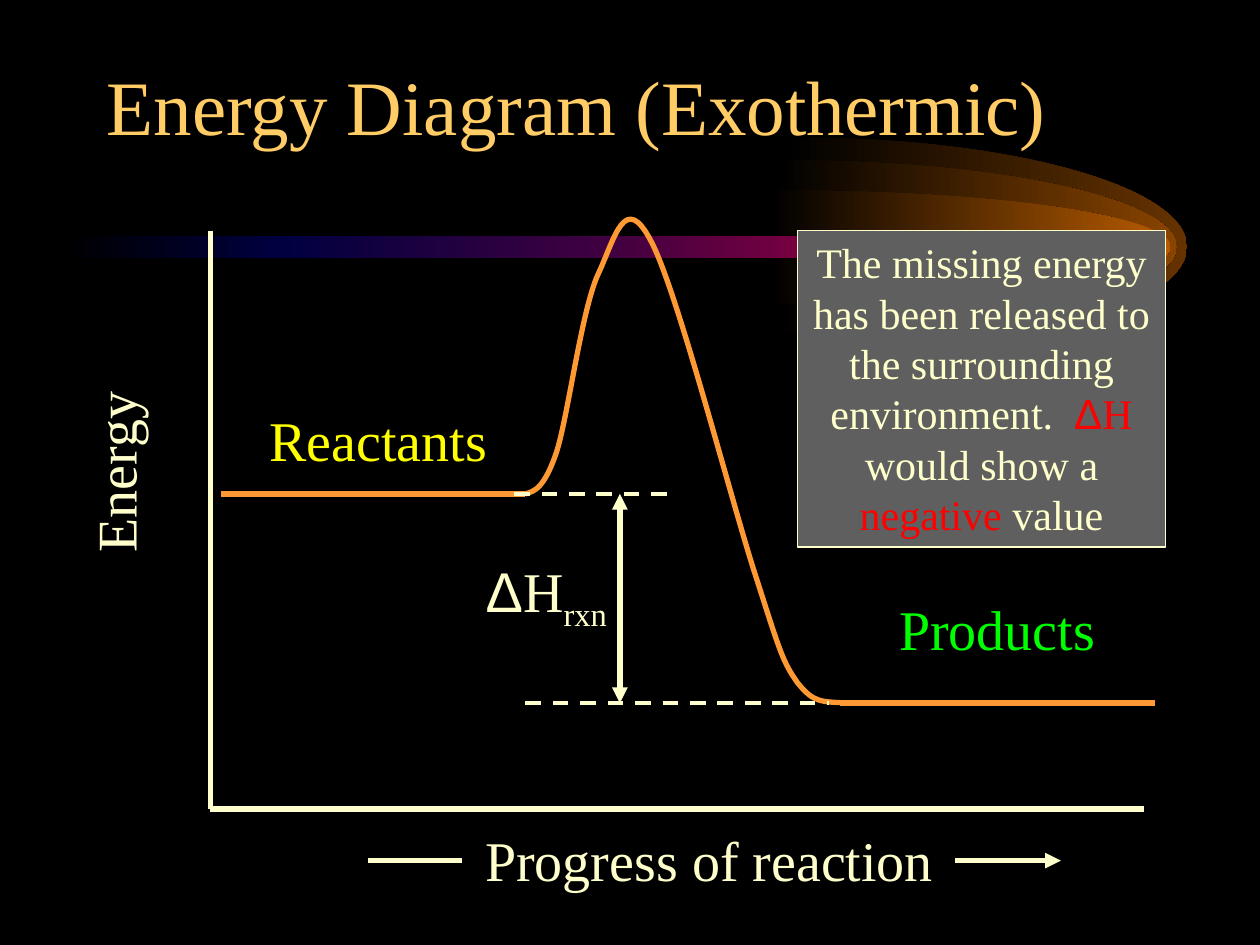
from lxml import etree
from pptx import Presentation
from pptx import util as u
from pptx.dml.color import RGBColor
from pptx.enum import dml, shapes, text
from pptx.oxml.ns import qn

BLACK = RGBColor(0, 0, 0)
CREAM = RGBColor(0xFF, 0xFF, 0xCC)
GOLD = RGBColor(0xFF, 0xCC, 0x66)
ORANGE = RGBColor(0xFF, 0x99, 0x33)
YELLOW = RGBColor(0xFF, 0xFF, 0)
GREEN = RGBColor(0, 0xFF, 0)
RED = RGBColor(0xFF, 0, 0)
GREY = RGBColor(0x5F, 0x5F, 0x5F)
SERIF, SANS = "Times New Roman", "Arial"

prs = Presentation()
prs.slide_width, prs.slide_height = u.Inches(10), u.Inches(7.5)
slide = prs.slides.add_slide(prs.slide_layouts[6])
slide.background.fill.solid()
slide.background.fill.fore_color.rgb = BLACK
items = slide.shapes


def outline(knots, close):
    """Draw cubic curves, three knots each; knots left over become lines."""
    pts = [(u.Inches(x), u.Inches(y)) for x, y in knots]
    pen = items.build_freeform(*pts[0])
    pen.add_line_segments(pts[1:], close=close)
    form = pen.convert_to_shape()
    form.shadow.inherit = False
    legs = list(form._element.iter(qn("a:lnTo")))
    for i in range(0, len(legs) - 2, 3):
        bend = etree.Element(qn("a:cubicBezTo"))
        legs[i].addprevious(bend)
        for leg in legs[i:i + 3]:
            bend.append(leg[0])
            leg.getparent().remove(leg)
    return form


def write(frame, runs, size, align=text.PP_ALIGN.CENTER):
    """Fill the frame with one paragraph; each run is (words, colour, font)."""
    frame.word_wrap = True
    para = frame.paragraphs[0]
    para.alignment = align
    for words, color, face in runs:
        run = para.add_run()
        run.text = words
        run.font.size = u.Pt(size)
        run.font.name = face
        run.font.color.rgb = color
    return para


# Comet: three half ellipses and a tail, all with a gradient from left to right
HALF = [(-0.01, -1), (0, -1), (0, -1), (0, -1),
        (1.73, -1), (3.13, -0.55), (3.13, 0),
        (3.13, 0.55), (1.73, 1), (0, 1),
        (-0.02, 1), (-0.03, 1), (-0.05, 1), (0, 0)]
glows = []
for mid, high, color in [(6.29, 0.87, "663300"), (6.21, 0.69, "894400"),
                         (6.16, 0.45, "B75B00")]:
    arc = [(mid + x, 1.96 + high * y) for x, y in HALF]
    glows.append((outline(arc, True), [(0, "000000"), (100, color)]))

tail = items.add_shape(shapes.MSO_SHAPE.ROUNDED_RECTANGLE, u.Inches(0.5),
                       u.Inches(1.87), u.Inches(8.66), u.Inches(0.18))
tail.adjustments[0] = 0.5
tail.shadow.inherit = False
glows.append((tail, [(0, "000000"), (20, "000040"), (50, "400040"),
                     (75, "8F0040"), (90, "F27300"), (100, "FFBF00")]))

for glow, stops in glows:
    glow.line.fill.background()
    glow.fill.gradient()
    glow.fill.gradient_angle = 0
    group = glow._element.spPr.find(qn("a:gradFill")).find(qn("a:gsLst"))
    for old in list(group):
        group.remove(old)
    for pos, color in stops:
        stop = etree.SubElement(group, qn("a:gs"), pos=str(pos * 1000))
        etree.SubElement(stop, qn("a:srgbClr"), val=color)

# Title and labels
title = items.add_textbox(u.Inches(0.75), 0, u.Inches(8.5), u.Inches(1.25))
title.text_frame.vertical_anchor = text.MSO_ANCHOR.BOTTOM
write(title.text_frame, [("Energy Diagram (Exothermic)", GOLD, SERIF)], 44,
      text.PP_ALIGN.LEFT)

for words, color, left, top, wide, turn in [
        ("Energy", CREAM, -0.43, 3.43, 2.67, 270),
        ("Progress of reaction", CREAM, 3.67, 6.5, 3.92, 0),
        ("Reactants", YELLOW, 1.67, 3.17, 2.67, 0),
        ("Products", GREEN, 6.58, 4.67, 2.67, 0)]:
    label = items.add_textbox(u.Inches(left), u.Inches(top),
                              u.Inches(wide), u.Inches(0.63))
    label.rotation = turn
    write(label.text_frame, [(words, color, SERIF)], 32)

delta = items.add_textbox(u.Inches(3), u.Inches(4.37),
                          u.Inches(2.67), u.Inches(0.63))
para = write(delta.text_frame, [("Δ", CREAM, SANS), ("H", CREAM, SERIF),
                                ("rxn", CREAM, SERIF)], 32)
para.runs[2].font._element.set("baseline", "-25000")

# Energy curve between the two levels
curve = outline([(4.17, 3.92),
                 (4.24, 3.9), (4.32, 3.88), (4.42, 3.58),
                 (4.51, 3.29), (4.62, 2.44), (4.75, 2.17),
                 (4.88, 1.89), (4.96, 1.51), (5.17, 1.92),
                 (5.38, 2.32), (5.81, 4), (6, 4.58),
                 (6.19, 5.17), (6.21, 5.25), (6.33, 5.42),
                 (6.46, 5.58), (6.51, 5.57), (6.75, 5.58)], False)
curve.fill.background()
curve.line.color.rgb = ORANGE
curve.line.width = u.Pt(3)

# Axes, levels, dashed guides and arrows
for x1, y1, x2, y2, color, dash, ends in [
        (1.67, 1.83, 1.67, 6.42, CREAM, False, ()),
        (1.67, 6.42, 9.08, 6.42, CREAM, False, ()),
        (7.58, 6.83, 8.42, 6.83, CREAM, False, ("tailEnd",)),
        (2.92, 6.83, 3.67, 6.83, CREAM, False, ()),
        (1.75, 3.92, 4.17, 3.92, ORANGE, False, ()),
        (6.67, 5.58, 9.17, 5.58, ORANGE, False, ()),
        (4.08, 3.92, 5.33, 3.92, CREAM, True, ()),
        (4.17, 5.58, 6.58, 5.58, CREAM, True, ()),
        (4.92, 3.92, 4.92, 5.58, CREAM, False, ("headEnd", "tailEnd"))]:
    line = items.add_connector(shapes.MSO_CONNECTOR.STRAIGHT, u.Inches(x1),
                               u.Inches(y1), u.Inches(x2), u.Inches(y2))
    line.line.color.rgb = color
    line.line.width = u.Pt(2.25 if dash else 3)
    if dash:
        line.line.dash_style = dml.MSO_LINE.DASH
    props = line._element.spPr
    for end in ends:
        etree.SubElement(props.find(qn("a:ln")), qn("a:" + end), type="triangle")
    etree.SubElement(props, qn("a:effectLst"))

# Note on the released energy
note = items.add_shape(shapes.MSO_SHAPE.RECTANGLE, u.Inches(6.33),
                       u.Inches(1.83), u.Inches(2.92), u.Inches(2.51))
note.shadow.inherit = False
note.fill.solid()
note.fill.fore_color.rgb = GREY
note.line.color.rgb = CREAM
note.line.width = u.Pt(1)
note.text_frame.vertical_anchor = text.MSO_ANCHOR.TOP
write(note.text_frame, [
    ("The missing energy has been released to the surrounding environment.  ",
     CREAM, SERIF),
    ("Δ", RED, SANS), ("H", RED, SERIF), (" would show a ", CREAM, SERIF),
    ("negative", RED, SERIF), (" value", CREAM, SERIF)], 24)

prs.save("out.pptx")
